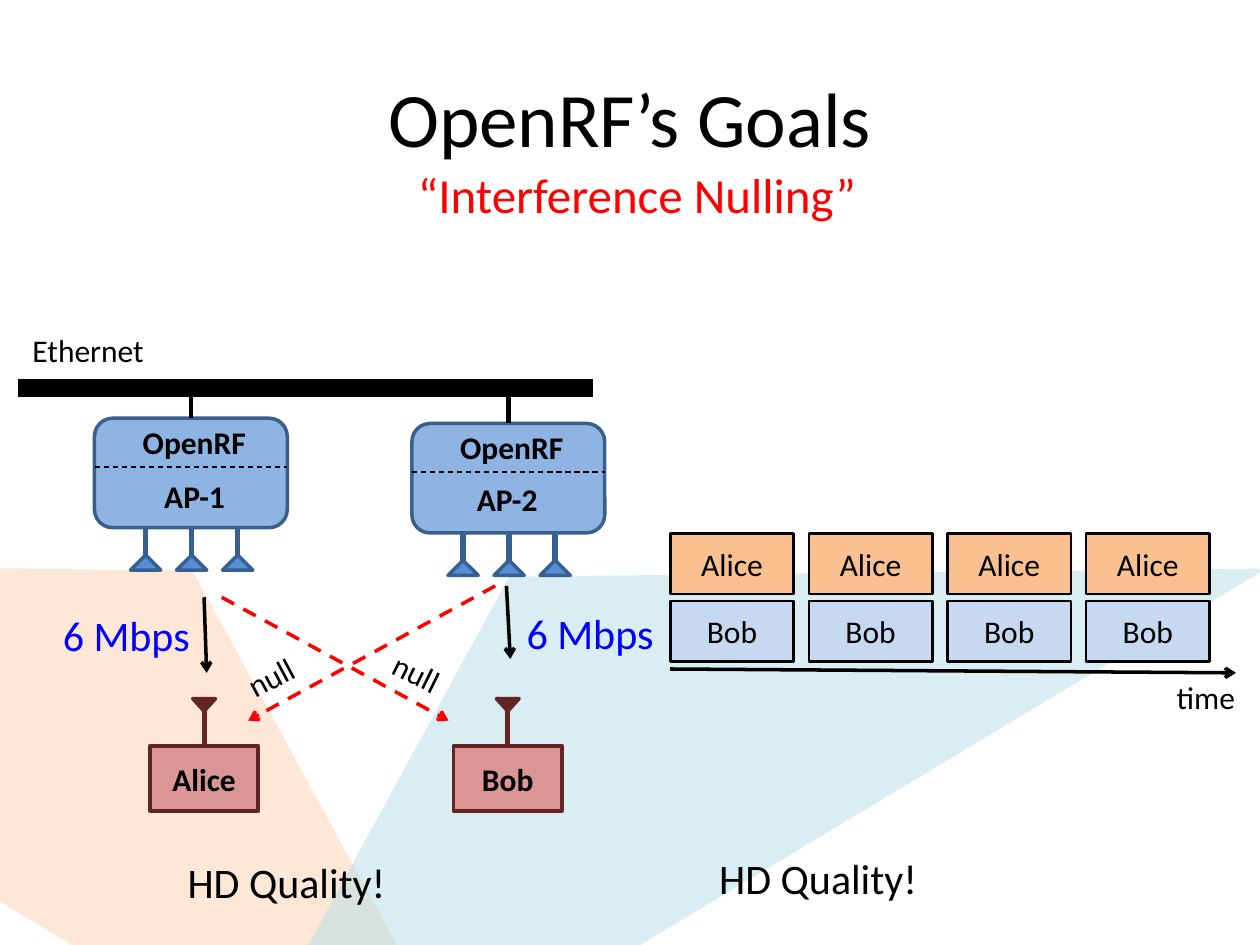
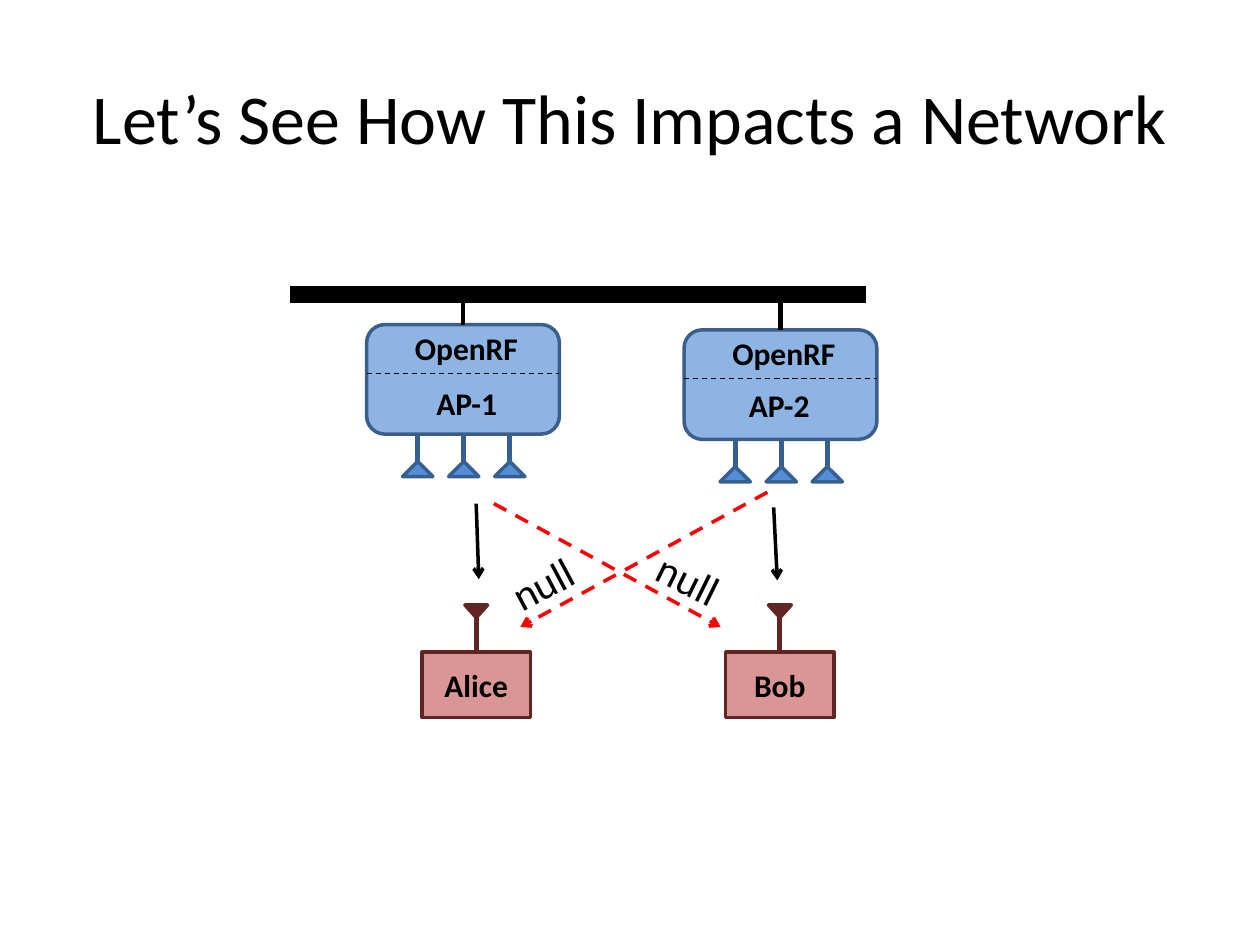
"""Builds two slides on interference nulling between two access points."""
from dataclasses import dataclass
from typing import Any

from lxml.etree import SubElement as Sub
from pptx import Presentation
from pptx.dml.color import RGBColor as RGB
from pptx.enum.dml import MSO_LINE as Dash
from pptx.enum.shapes import MSO_CONNECTOR as Conn, MSO_SHAPE as Kind
from pptx.enum.text import MSO_ANCHOR as Anchor, MSO_AUTO_SIZE as Fit, PP_ALIGN as Align
from pptx.oxml.ns import qn
from pptx.util import Pt

FONT = "Calibri"
BLACK = RGB(0, 0, 0)
RED = RGB(255, 0, 0)
BLUE = RGB(0, 0, 255)
PEACH = RGB(0xFC, 0xD5, 0xB5)
AQUA = RGB(0xB7, 0xDE, 0xE8)
SKY = RGB(0x8E, 0xB4, 0xE3)
STEEL = RGB(0x3A, 0x5F, 0x8C)
CONE = RGB(0x55, 0x8E, 0xD5)
STEM = RGB(0x37, 0x60, 0x92)
ROSE = RGB(0xD9, 0x96, 0x94)
WINE = RGB(0x63, 0x25, 0x23)
AMBER = RGB(0xFA, 0xC0, 0x90)
PALE = RGB(0xC6, 0xD9, 0xF1)

PAGES = [
    dict(title="OpenRF’s Goals", size=44, shift=(0, 0), null=(18, 41.8, 28.8),
         bob=(289.4, 334.8, 291.6, 376.6)),
    dict(title="Let’s See How This Impacts a Network", size=40, shift=(155.5, -53.5),
         null=(24, 51.1, 36), bob=(286.6, 343.4, 288.7, 385.2)),
]
POINTS = [("AP-1", 54, 239, 111.2, 30.2), ("AP-2", 235.4, 242, 289.8, 28.8)]
USERS = [("Alice", 85.7), ("Bob", 259.2)]
ALICE = (116.6, 341.3, 118.1, 384.5)
CROSS = [(283, 334.8, 141.8, 411.8), (126.7, 341.3, 256.3, 411.8)]
NULLS = [(154.8, 386.6, -28.1), (238.3, 384.5, 26.2)]
BEAMS = [(-319.7, 310.3, 31, PEACH, 55), (-25.9, 313.9, 329, AQUA, 52)]
NOTES = [
    ("Ethernet", 11.5, 185.8, 79.2, 28.8, 18, BLACK),
    ("“Interference Nulling”", 231.8, 90.7, 268.6, 41, 28, RED),
    ("HD Quality!", 100.1, 486, 128.9, 36, 24, BLACK),
    ("HD Quality!", 403.9, 483.8, 128.9, 36, 24, BLACK),
    ("time", 665.3, 383.8, 48.2, 28.8, 18, BLACK),
    ("6 Mbps", 28.8, 344.9, 87.8, 36, 24, BLUE),
    ("6 Mbps", 293.8, 343.4, 87.8, 36, 24, BLUE),
]
SLOTS = [("Alice", 304.8, AMBER), ("Bob", 343.4, PALE)]


def write(shape, text, size, color=BLACK, bold=False, align=Align.CENTER):
    para = shape.text_frame.paragraphs[0]
    para.text, para.alignment = text, align
    font = para.font
    font.name, font.size, font.bold = FONT, Pt(size), bold
    font.color.rgb = color


@dataclass
class Pen:
    slide: Any
    dx: float = 0
    dy: float = 0

    def spot(self, x, y):
        return Pt(x + self.dx), Pt(y + self.dy)

    def form(self, kind, x, y, w, h, fill, edge=None, thick=2, turn=0):
        shape = self.slide.shapes.add_shape(kind, *self.spot(x, y), Pt(w), Pt(h))
        shape.shadow.inherit = False
        shape.rotation = turn
        shape.fill.solid()
        shape.fill.fore_color.rgb = fill
        if edge is None:
            shape.line.fill.background()
        else:
            shape.line.color.rgb, shape.line.width = edge, Pt(thick)
        return shape

    def wire(self, x1, y1, x2, y2, color=BLACK, thick=2, dash=False, head=False):
        line = self.slide.shapes.add_connector(
            Conn.STRAIGHT, *self.spot(x1, y1), *self.spot(x2, y2))
        line.line.color.rgb, line.line.width = color, Pt(thick)
        if dash:
            line.line.dash_style = Dash.DASH
        props = line._element.spPr
        if head:
            Sub(props.find(qn("a:ln")), qn("a:tailEnd"), type="arrow")
        Sub(props, qn("a:effectLst"))
        return line

    def label(self, text, x, y, w, h, size, color=BLACK, bold=False,
              align=Align.LEFT, turn=0):
        box = self.slide.shapes.add_textbox(*self.spot(x, y), Pt(w), Pt(h))
        box.text_frame.word_wrap = False
        box.text_frame.auto_size = Fit.SHAPE_TO_FIT_TEXT
        box.rotation = turn
        write(box, text, size, color, bold, align)
        return box


def title(slide, text, size):
    box = Pen(slide).label(text, 36, 21.6, 648, 90, size, align=Align.CENTER)
    frame = box.text_frame
    frame.auto_size, frame.word_wrap = Fit.NONE, True
    frame.vertical_anchor = Anchor.MIDDLE


def point(pen, name, x, y, mid, drop):
    wide, high = 110.2, 62.6
    for i in range(3):
        at = x + 29.2 + 26.3 * i
        pen.wire(at, y + 56, at, y + 79, STEM, 3)
        pen.form(Kind.ISOSCELES_TRIANGLE, at - 8.6, y + 78.2, 17.3, 8.6, CONE, STEM)
    body = pen.form(Kind.ROUNDED_RECTANGLE, x, y, wide, high, SKY, STEEL)
    center = x + wide / 2
    pen.wire(center, 221.8, center, y, thick=2.5).end_connect(body, 0)
    pen.label(name, mid - 33.5, y + drop, 67, 28.8, 18, bold=True, align=Align.CENTER)
    pen.label("OpenRF", x + 20.5, y - 1, 74.2, 28.8, 18, bold=True)
    pen.wire(x, y + 27.8, x + wide, y + 27.8, thick=0.75, dash=True)


def user(pen, name, x):
    box = pen.form(Kind.RECTANGLE, x, 426.2, 61.9, 37.4, ROSE, WINE)
    frame = box.text_frame
    frame.margin_left = frame.margin_right = frame.margin_top = frame.margin_bottom = 0
    write(box, name, 18, bold=True)
    center = x + 30.95
    pen.form(Kind.ISOSCELES_TRIANGLE, center - 6.5, 399.2, 13, 7.2, WINE, WINE, turn=180)
    pen.wire(center, 405.4, center, 426.2, WINE, 3).end_connect(box, 0)


def network(pen, null, bob):
    pen.wire(10.1, 221.8, 339.1, 221.8, thick=10)
    for item in POINTS:
        point(pen, *item)
    for ends in (ALICE, bob):
        pen.wire(*ends, head=True)
    for ends in CROSS:
        pen.wire(*ends, RED, dash=True, head=True)
    size, w, h = null
    for x, y, turn in NULLS:
        pen.label("null", x - w / 2, y - h / 2, w, h, size, turn=turn)
    for item in USERS:
        user(pen, *item)


def beams(pen):
    for x, y, turn, color, alpha in BEAMS:
        beam = pen.form(Kind.TRAPEZOID, x, y, 746.6, 218.9, color, turn=turn)
        beam.adjustments[0] = 1.84
        fill = beam._element.spPr.find(qn("a:solidFill"))
        Sub(fill[0], qn("a:alpha"), val=str(alpha * 1000))


def timeline(pen):
    pen.wire(383, 382.3, 706.3, 384.5, head=True)
    for i in range(4):
        for name, y, color in SLOTS:
            slot = pen.form(Kind.RECTANGLE, 383 + 79.2 * i, y, 70.6, 34.6, color, BLACK, 1.5)
            write(slot, name, 18)


def main():
    deck = Presentation()
    deck.slide_width, deck.slide_height = Pt(720), Pt(540)
    for i, page in enumerate(PAGES):
        slide = deck.slides.add_slide(deck.slide_layouts[6])
        pen = Pen(slide, *page["shift"])
        if i == 0:
            beams(pen)
        title(slide, page["title"], page["size"])
        network(pen, page["null"], page["bob"])
        if i == 0:
            timeline(pen)
            for note in NOTES:
                pen.label(*note)
    deck.save("out.pptx")


if __name__ == "__main__":
    main()
